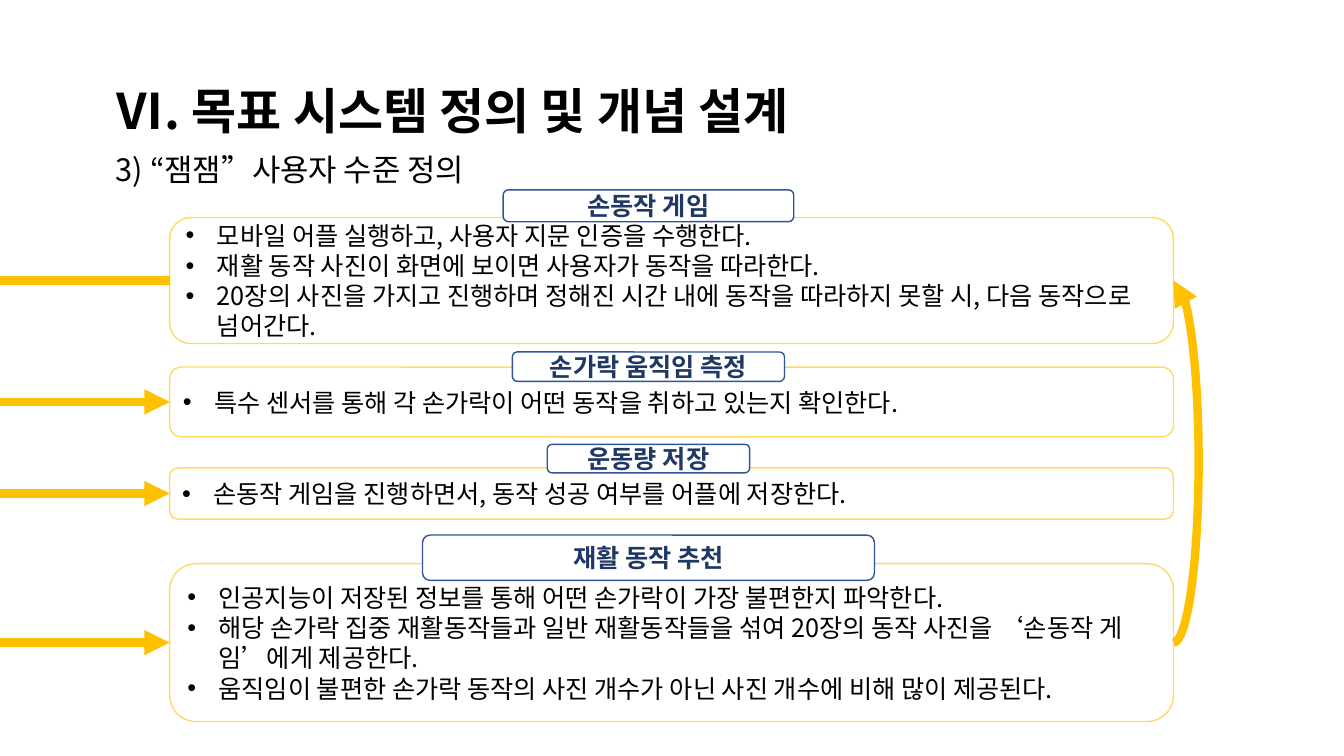
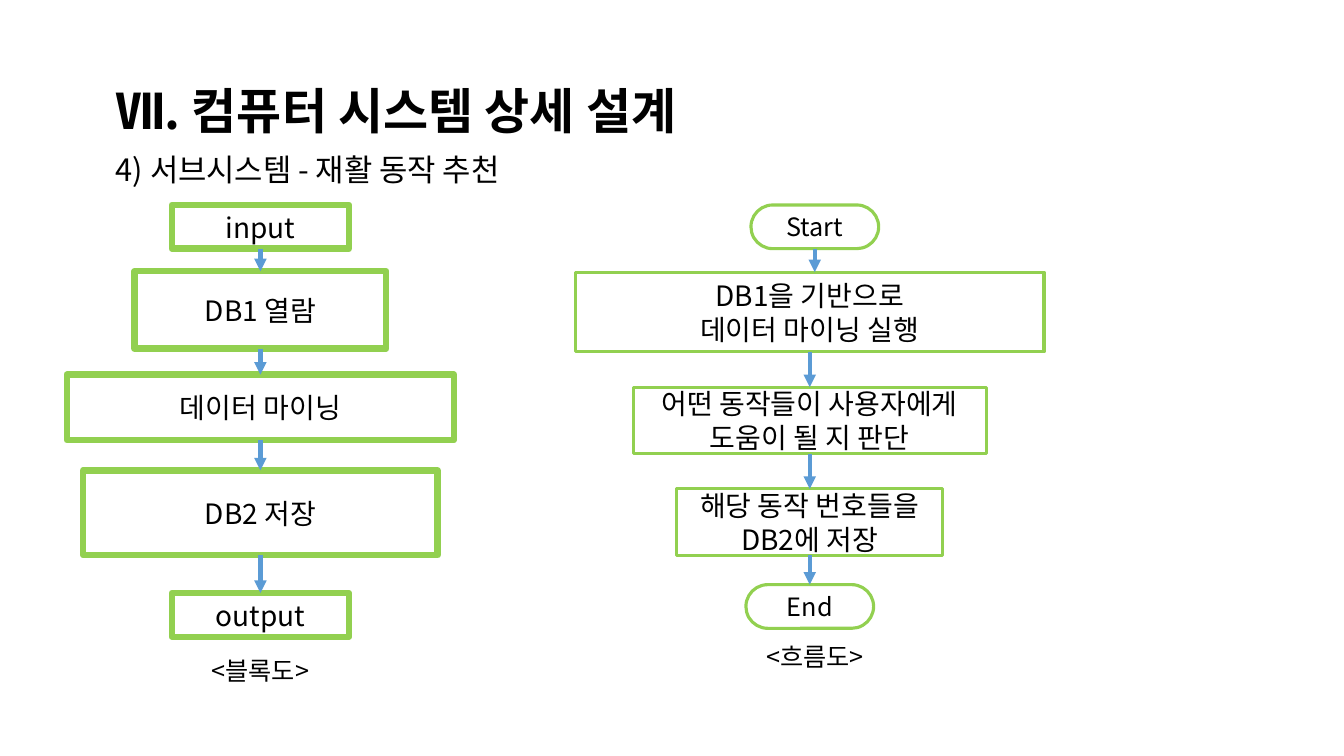
from math import cos, pi, sin

from lxml import etree
from pptx import Presentation
from pptx.dml.color import RGBColor
from pptx.enum.shapes import MSO_CONNECTOR, MSO_SHAPE
from pptx.enum.text import MSO_ANCHOR, PP_ALIGN
from pptx.oxml.ns import qn
from pptx.util import Inches, Pt

RECT = MSO_SHAPE.RECTANGLE
ROUNDED = MSO_SHAPE.ROUNDED_RECTANGLE
STRAIGHT = MSO_CONNECTOR.STRAIGHT
MIDDLE, TOP = MSO_ANCHOR.MIDDLE, MSO_ANCHOR.TOP
LEFT, CENTER = PP_ALIGN.LEFT, PP_ALIGN.CENTER

FONT = "Noto Sans CJK KR"
BLACK, WHITE = "000000", "FFFFFF"
PALE_GOLD, GOLD = "FFD966", "FFC000"
BLUE, NAVY, SKY = "2F5597", "203864", "5B9BD5"
GREEN = "92D050"
COLUMNS, ROWS = 160, 90


def color(hex_code):
    return RGBColor.from_string(hex_code)


def add_xml(parent, tag, **attributes):
    return etree.SubElement(parent, qn(tag), attributes)


def write(frame, text, size=18, ink=BLACK, bold=False, align=LEFT,
          anchor=TOP, bullets=False):
    """Fill a text frame, one paragraph for each line of text."""
    frame.word_wrap = True
    frame.vertical_anchor = anchor
    for number, line in enumerate(text.split("\n")):
        paragraph = frame.add_paragraph() if number else frame.paragraphs[0]
        paragraph.alignment = align
        if bullets:
            properties = paragraph._p.get_or_add_pPr()
            indent = Inches(0.31)
            properties.set("marL", str(indent))
            properties.set("indent", str(-indent))
            add_xml(properties, "a:buFont", typeface="Arial")
            add_xml(properties, "a:buChar", char="•")
        run = paragraph.add_run()
        run.text = line
        font = run.font
        font.name, font.size, font.bold = FONT, Pt(size), bold
        font.color.rgb = color(ink)
        add_xml(run._r.get_or_add_rPr(), "a:ea", typeface=FONT)


class Deck:
    """Shared style, the grid and the current slide."""

    def __init__(self):
        self.show = Presentation()
        self.show.slide_width, self.show.slide_height = Inches(13.33), Inches(7.5)
        self.slide = None

    def x(self, columns):
        return round(self.show.slide_width * columns / COLUMNS)

    def y(self, rows):
        return round(self.show.slide_height * rows / ROWS)

    def area(self, left, top, width, height):
        return self.x(left), self.y(top), self.x(width), self.y(height)

    def page(self, title, subtitle):
        self.slide = self.show.slides.add_slide(self.show.slide_layouts[6])
        self.label(title, 12.6, 9, 137, 8.3, size=35, bold=True)
        self.label(subtitle, 12.6, 17.3, 76, 5.6, size=22)

    def label(self, text, left, top, width, height, **style):
        holder = self.slide.shapes.add_textbox(*self.area(left, top, width, height))
        write(holder.text_frame, text, **style)

    def stroke(self, shape, hex_code, weight, head=False):
        shape.line.color.rgb = color(hex_code)
        shape.line.width = Pt(weight)
        if head:
            outline = shape.element.spPr.find(qn("a:ln"))
            add_xml(outline, "a:tailEnd", type="triangle")

    def box(self, kind, center, top, width, height, text, line, weight=1,
            fill=None, rounding=None, **style):
        left = center - width / 2
        shape = self.slide.shapes.add_shape(kind, *self.area(left, top, width, height))
        shape.shadow.inherit = False
        if rounding is not None:
            shape.adjustments[0] = rounding
        if fill:
            shape.fill.solid()
            shape.fill.fore_color.rgb = color(fill)
        else:
            shape.fill.background()
        self.stroke(shape, line, weight)
        write(shape.text_frame, text, anchor=MIDDLE, **style)

    def arrow(self, x1, y1, x2, y2, line, weight, head=True):
        connector = self.slide.shapes.add_connector(
            STRAIGHT, self.x(x1), self.y(y1), self.x(x2), self.y(y2))
        self.stroke(connector, line, weight, head)
        add_xml(connector.element.spPr, "a:effectLst")

    def return_arrow(self, x, bottom, top, bulge, line, weight, steps=32):
        """Half an ellipse that runs up from bottom to top."""
        middle, reach = (bottom + top) / 2, (bottom - top) / 2
        angles = [pi * step / steps for step in range(steps + 1)]
        points = [(self.x(x + bulge * sin(a)), self.y(middle + reach * cos(a)))
                  for a in angles]
        outline = self.slide.shapes.build_freeform(*points[0])
        outline.add_line_segments(points[1:], close=False)
        curve = outline.convert_to_shape()
        curve.shadow.inherit = False
        curve.fill.background()
        self.stroke(curve, line, weight, head=True)

    def flow(self, nodes, caption, caption_top, caption_center, **style):
        """Stack of boxes, each joined to the next by an arrow."""
        for kind, center, top, width, height, size, text in nodes:
            self.box(kind, center, top, width, height, text, GREEN, size=size,
                     rounding=0.5 if kind == ROUNDED else None,
                     align=CENTER, **style)
        for upper, lower in zip(nodes, nodes[1:]):
            center, top, height = upper[1], upper[2], upper[4]
            self.arrow(center, top + height, center, lower[2], SKY, 3)
        self.label(caption, caption_center - 14, caption_top, 28, 4.8, align=CENTER)


deck = Deck()

# User level definition: four titled frames
deck.page("Ⅵ. 목표 시스템 정의 및 개념 설계", "3) “잼잼”사용자 수준 정의")
FRAME_LEFT, FRAME_WIDTH, TAG_CENTER = 20.2, 119.5, 77.2

# frame top and height, tag top, width and height, tag, sentences
functions = [
    (25.9, 15, 22.6, 34.6, 3.8, "손동작 게임",
     "모바일 어플 실행하고, 사용자 지문 인증을 수행한다.\n"
     "재활 동작 사진이 화면에 보이면 사용자가 동작을 따라한다.\n"
     "20장의 사진을 가지고 진행하며 정해진 시간 내에 동작을 따라하지 못할 시, "
     "다음 동작으로 넘어간다."),
    (43.7, 8.3, 41.9, 32.4, 3.5, "손가락 움직임 측정",
     "특수 센서를 통해 각 손가락이 어떤 동작을 취하고 있는지 확인한다."),
    (55.7, 6.1, 52.9, 24.1, 3.4, "운동량 저장",
     "손동작 게임을 진행하면서, 동작 성공 여부를 어플에 저장한다."),
    (67.1, 18.8, 63.7, 53.8, 5.4, "재활 동작 추천",
     "인공지능이 저장된 정보를 통해 어떤 손가락이 가장 불편한지 파악한다.\n"
     "해당 손가락 집중 재활동작들과 일반 재활동작들을 섞여 20장의 동작 사진을 "
     "‘손동작 게임’에게 제공한다.\n"
     "움직임이 불편한 손가락 동작의 사진 개수가 아닌 사진 개수에 비해 많이 제공된다."),
]
for top, height, tag_top, tag_width, tag_height, tag, sentences in functions:
    deck.box(ROUNDED, FRAME_LEFT + FRAME_WIDTH / 2, top, FRAME_WIDTH, height,
             sentences, PALE_GOLD, bullets=True)
    deck.box(ROUNDED, TAG_CENTER, tag_top, tag_width, tag_height, tag, BLUE,
             fill=WHITE, ink=NAVY, bold=True, align=CENTER)

# Arrows into the frames, and back from the last to the first
middles = [top + height / 2 for top, height, *_ in functions]
for number, middle in enumerate(middles):
    deck.arrow(0, middle, FRAME_LEFT, middle, GOLD, 6, head=number > 0)
deck.return_arrow(FRAME_LEFT + FRAME_WIDTH, middles[-1], middles[0], 3, GOLD, 6)

# Subsystem: block diagram and flow chart
deck.page("Ⅶ. 컴퓨터 시스템 상세 설계", "4) 서브시스템 - 재활 동작 추천")

# kind, center, top, width, height, text size, text
block_diagram = [
    (RECT, 31, 24.4, 21.1, 5.2, 20, "input"),
    (RECT, 31, 32.3, 30, 9.2, 20, "DB1 열람"),
    (RECT, 31, 44.6, 46.1, 7.8, 20, "데이터 마이닝"),
    (RECT, 31, 56, 42.2, 10.1, 20, "DB2 저장"),
    (RECT, 31, 70.6, 21.1, 5.2, 20, "output"),
]
flow_chart = [
    (ROUNDED, 97, 24.4, 15.2, 5.2, 18, "Start"),
    (RECT, 96.4, 32.4, 55.8, 9.5, 20, "DB1을 기반으로\n데이터 마이닝 실행"),
    (RECT, 96.4, 46.1, 42, 7.9, 20, "어떤 동작들이 사용자에게\n도움이 될 지 판단"),
    (RECT, 96.4, 58.2, 31.7, 7.9, 20, "해당 동작 번호들을\nDB2에 저장"),
    (ROUNDED, 96.4, 69.6, 15.2, 5.2, 18, "End"),
]
deck.flow(block_diagram, "<블록도>", 77.4, 31, weight=4.5)
deck.flow(flow_chart, "<흐름도>", 75.8, 97, weight=2.25, fill=WHITE)

deck.show.save("out.pptx")
